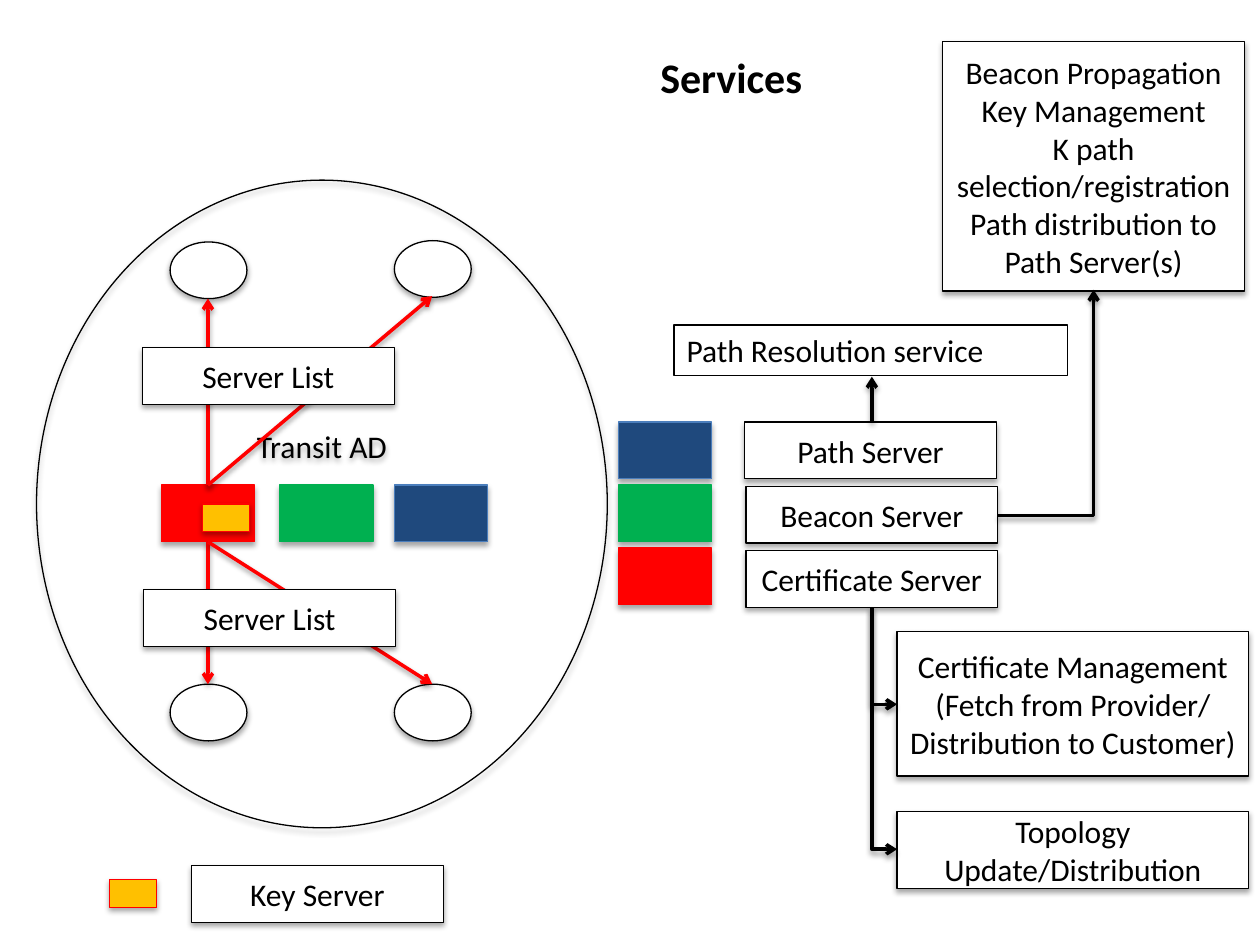
from lxml import etree
from pptx import Presentation
from pptx import util as u
from pptx.dml.color import RGBColor
from pptx.enum import shapes, text
from pptx.oxml.ns import qn

COLORS = {
    "ink": "000000",
    "paper": "FFFFFF",
    "path": "1F497D",
    "path_edge": "4B7EBC",
    "beacon": "00B050",
    "certificate": "FF0000",
    "key": "FFC000",
}
CELL = u.Inches(0.1)
FONT = "Calibri"
RECT = shapes.MSO_SHAPE.RECTANGLE
OVAL = shapes.MSO_SHAPE.OVAL
SERVER = (20, 4.5)
TILE = (7.4, 4.5)
KEY = (3.7, 2.2)
NODE = (6.1, 4.5)


def cells(*counts):
    return [round(count * CELL) for count in counts]


def rgb(name):
    return RGBColor.from_string(COLORS[name])


def cast_shadow(element, opacity):
    props = element.spPr
    for old in props.findall(qn("a:effectLst")):
        props.remove(old)
    effects = etree.SubElement(props, qn("a:effectLst"))
    shadow = etree.SubElement(effects, qn("a:outerShdw"), blurRad="40000",
                              dist="23000", dir="5400000", rotWithShape="0")
    tint = etree.SubElement(shadow, qn("a:srgbClr"), val=COLORS["ink"])
    etree.SubElement(tint, qn("a:alpha"), val=str(opacity * 1000))


def set_font(paragraph, size, bold=False):
    paragraph.font.name = FONT
    paragraph.font.size = u.Pt(size)
    paragraph.font.bold = bold
    paragraph.font.color.rgb = rgb("ink")


def add_block(slide, kind, place, size, fill=None, edge="ink", shadow=True):
    block = slide.shapes.add_shape(kind, *cells(*place, *size))
    block.shadow.inherit = False
    if fill:
        block.fill.solid()
        block.fill.fore_color.rgb = rgb(fill)
    else:
        block.fill.background()
    block.line.color.rgb = rgb(edge)
    block.line.width = u.Pt(0.75)
    if shadow:
        cast_shadow(block._element, 35)
    return block


def write(block, lines, align=text.PP_ALIGN.CENTER,
          anchor=text.MSO_ANCHOR.MIDDLE):
    frame = block.text_frame
    frame.word_wrap = True
    frame.vertical_anchor = anchor
    frame.text = "\n".join(lines)
    for paragraph in frame.paragraphs:
        paragraph.alignment = align
        set_font(paragraph, 18)


def add_label(slide, place, size, *lines):
    write(add_block(slide, RECT, place, size, "paper"), lines)


def add_arrow(slide, start, end, color="ink", bent=False):
    kind = shapes.MSO_CONNECTOR.ELBOW if bent else shapes.MSO_CONNECTOR.STRAIGHT
    arrow = slide.shapes.add_connector(kind, *cells(*start, *end))
    if bent:
        arrow._element.spPr.find(qn("a:prstGeom")).set("prst", "bentConnector2")
    arrow.line.color.rgb = rgb(color)
    arrow.line.width = u.Pt(2)
    etree.SubElement(arrow.line._get_or_add_ln(), qn("a:tailEnd"), type="arrow")
    cast_shadow(arrow._element, 38)
    return arrow


def add_drop_arrow(slide, start, end):
    mid_x, mid_y = (start[0] + end[0]) / 2, (start[1] + end[1]) / 2
    half_run, half_drop = (end[0] - start[0]) / 2, (end[1] - start[1]) / 2
    arrow = add_arrow(slide, (mid_x + half_drop, mid_y - half_run),
                      (mid_x - half_drop, mid_y + half_run), bent=True)
    arrow._element.spPr.find(qn("a:xfrm")).set("rot", "16200000")


def add_title(slide):
    title = slide.shapes.title
    title.left, title.top, title.width, title.height = cells(51.4, 3.6, 13.4, 5)
    frame = title.text_frame
    frame.text = "Services"
    frame.word_wrap = False
    frame.auto_size = text.MSO_AUTO_SIZE.SHAPE_TO_FIT_TEXT
    frame.vertical_anchor = text.MSO_ANCHOR.TOP
    frame.paragraphs[0].alignment = text.PP_ALIGN.LEFT
    set_font(frame.paragraphs[0], 24, bold=True)


def add_transit_domain(slide):
    for left, service, edge in ((31.3, "path", "path_edge"),
                                (22.2, "beacon", "beacon"),
                                (12.8, "certificate", "certificate")):
        add_block(slide, RECT, (left, 38.5), TILE, service, edge)
    domain = add_block(slide, OVAL, (2.9, 14.3), (45.3, 51.4))
    write(domain, ["Transit AD"])
    domain.text_frame.margin_bottom = u.Inches(0.97)

    for place in ((13.5, 19.2), (31.3, 19.1), (13.5, 54.3), (31.3, 54.3)):
        add_block(slide, OVAL, place, NODE, "paper")
    for exit_row, targets in ((38.5, ((16.5, 23.7), (34.3, 23.5))),
                              (43, ((16.5, 54.3), (34.3, 54.3)))):
        for target in targets:
            add_arrow(slide, (16.5, exit_row), target, "certificate")
    for place in ((11.4, 46.8), (11.3, 27.6)):
        add_label(slide, place, SERVER, "Server List")


def add_servers(slide):
    servers = (
        ("Path Server", "path", "path_edge", 59.1, 33.5),
        ("Beacon Server", "beacon", "beacon", 59.2, 38.6),
        ("Certificate Server", "certificate", "certificate", 59.2, 43.7),
    )
    for row, (name, service, edge, left, top) in enumerate(servers):
        add_label(slide, (left, top), SERVER, name)
        add_block(slide, RECT, (49.1, 33.5 + 5 * row), TILE, service, edge)


def add_duties(slide):
    add_label(slide, (71.2, 64.4), (27.9, 6.1), "Topology Update/Distribution")
    add_label(slide, (71.2, 50.1), (27.9, 11.5), "Certificate Management",
              "(Fetch from Provider/ Distribution to Customer)")
    for row in (67.4, 55.9):
        add_drop_arrow(slide, (69.2, 48.2), (71.2, row))

    resolution = add_block(slide, RECT, (53.5, 25.8), (31.2, 4), "paper",
                           shadow=False)
    write(resolution, ["Path Resolution service"], text.PP_ALIGN.LEFT,
          text.MSO_ANCHOR.TOP)
    add_arrow(slide, (69.2, 33.5), (69.2, 29.9))

    add_label(slide, (74.8, 3.3), (24, 19.8), "Beacon Propagation",
              "Key Management", "K path selection/registration",
              "Path distribution to Path Server(s)")
    add_arrow(slide, (79.2, 40.9), (86.8, 23), bent=True)


def add_key_server(slide):
    for place in ((16.1, 40), (8.7, 69.8)):
        add_block(slide, RECT, place, KEY, "key", "certificate")
    add_label(slide, (15.2, 68.7), SERVER, "Key Server")


def main():
    deck = Presentation()
    deck.slide_width, deck.slide_height = cells(100, 75)
    slide = deck.slides.add_slide(deck.slide_layouts[5])
    add_title(slide)
    add_transit_domain(slide)
    add_servers(slide)
    add_duties(slide)
    add_key_server(slide)
    deck.save("out.pptx")


if __name__ == "__main__":
    main()
